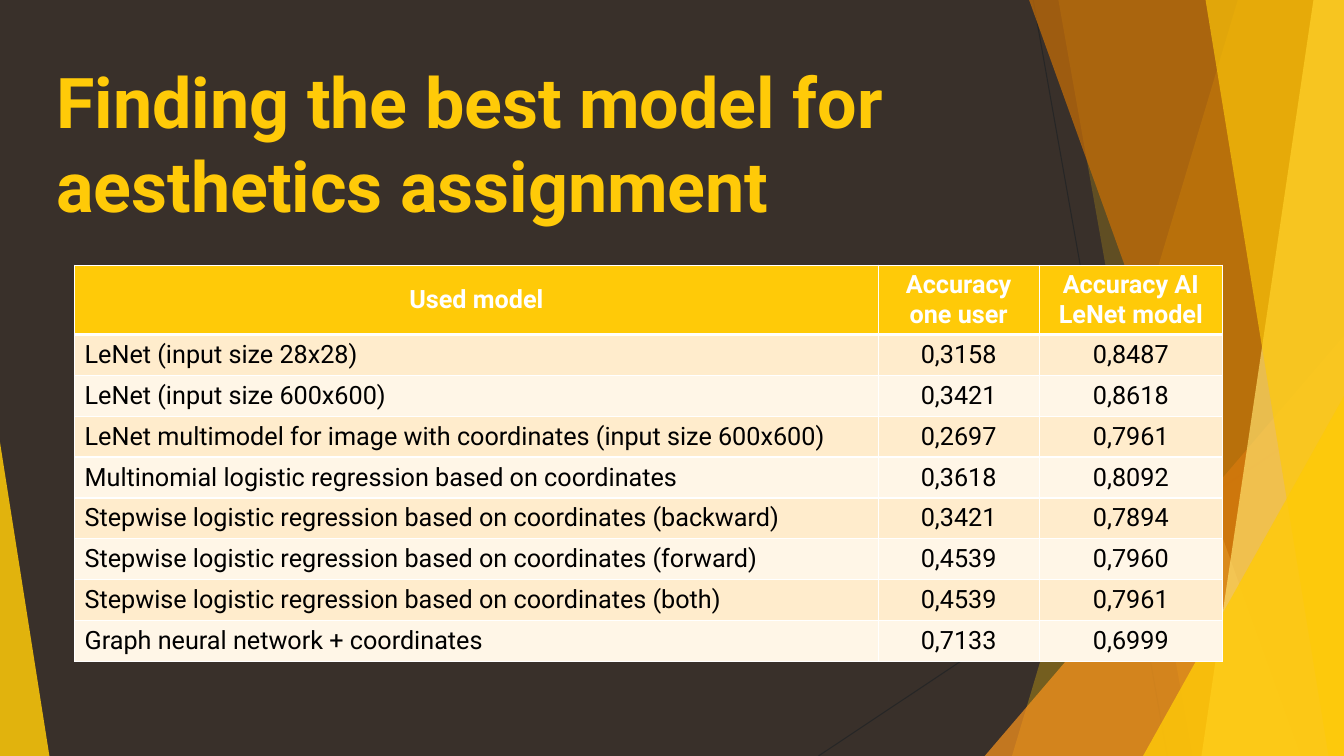
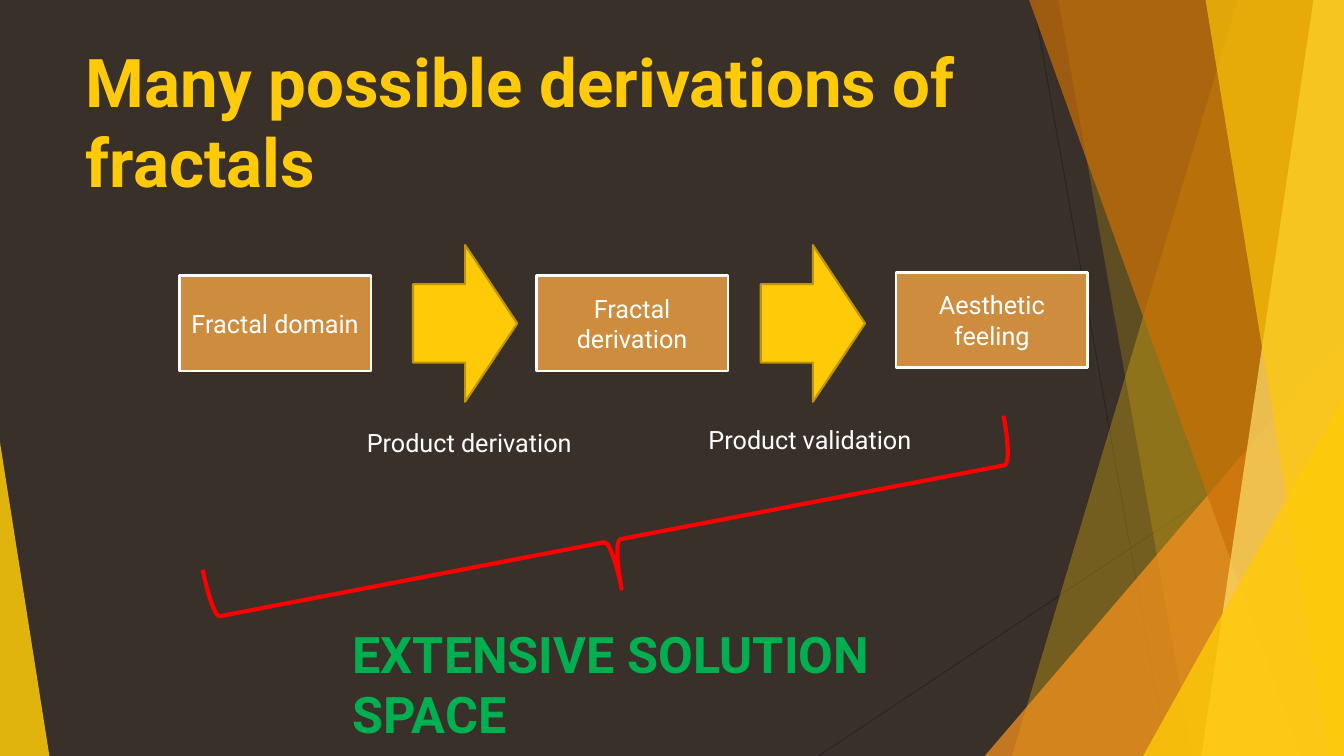
from dataclasses import dataclass

from lxml import etree
from pptx import Presentation
from pptx import util as u
from pptx.dml import color
from pptx.enum import shapes, text
from pptx.oxml import ns

WIDE, HIGH = 960, 540
FONT = "Roboto"
HUES = {
    "back": "39302A",
    "gold": "FFCA08",
    "edge": "BD9506",
    "pale": "FFDF6B",
    "rust": "CA6F06",
    "orange": "F8931D",
    "tan": "CE8D3E",
    "hair": "262626",
    "odd": "FFECCC",
    "even": "FFF6E7",
    "white": "FFFFFF",
    "black": "000000",
    "red": "FF0000",
    "green": "00B050",
}
KIND = shapes.MSO_SHAPE
LEFT, MID = text.PP_ALIGN.LEFT, text.PP_ALIGN.CENTER
TOP, CORE = text.MSO_ANCHOR.TOP, text.MSO_ANCHOR.MIDDLE


@dataclass
class Area:
    x: float
    y: float
    w: float
    h: float

    def span(self) -> list:
        return [u.Pt(v) for v in (self.x, self.y, self.w, self.h)]


@dataclass
class Face:
    size: float
    hue: str
    bold: bool = False


@dataclass
class Band:
    top: float
    base: float
    hue: str
    alpha: int


@dataclass
class Wedge:
    area: Area
    peak: float
    hue: str
    alpha: int


@dataclass
class Label:
    words: str
    area: Area
    face: Face


PLAIN = Face(18, "white")
RAYS = [((738, 0), (833.8, HIGH)), ((WIDE, 290.2), (584.6, HIGH))]
DECOR = [
    Band(884.2, 722.9, "gold", 30),
    Band(756, 851.8, "gold", 20),
    Wedge(Area(703.4, 240, 256.6, 300), 1, "orange", 72),
    Band(735.1, 929.5, "rust", 70),
    Band(938.2, 858.2, "pale", 70),
    Band(861.1, 949, "gold", 65),
    Wedge(Area(816.5, 283, 143.5, 257), 1, "gold", 80),
    Wedge(Area(0, 316, 35.3, 224), 0, "gold", 85),
]
HEADS = ("Used model", "Accuracy\none user", "Accuracy AI\nLeNet model")
SCORES = [
    ("LeNet (input size 28x28)", "0,3158", "0,8487"),
    ("LeNet (input size 600x600)", "0,3421", "0,8618"),
    ("LeNet multimodel for image with coordinates (input size 600x600)", "0,2697", "0,7961"),
    ("Multinomial logistic regression based on coordinates", "0,3618", "0,8092"),
    ("Stepwise logistic regression based on coordinates (backward)", "0,3421", "0,7894"),
    ("Stepwise logistic regression based on coordinates (forward)", "0,4539", "0,7960"),
    ("Stepwise logistic regression based on coordinates (both)", "0,4539", "0,7961"),
    ("Graph neural network + coordinates", "0,7133", "0,6999"),
]
STEPS = [
    Label("Fractal domain", Area(128, 197, 137, 68), PLAIN),
    Label("Fractal derivation", Area(383, 197, 137, 68), PLAIN),
    Label("Aesthetic feeling", Area(640, 194.5, 137, 68), PLAIN),
]
ARROWS = [Area(x, 175, 74.5, 112) for x in (295, 543.4)]
NOTES = [
    Label("Product derivation", Area(254.9, 301.7, 165, 29), PLAIN),
    Label("Product validation", Area(499, 299.5, 163, 29), PLAIN),
    Label("EXTENSIVE SOLUTION SPACE", Area(244.8, 441.4, 490, 51), Face(36, "green", True)),
]


def rgb(hue: str) -> color.RGBColor:
    return color.RGBColor.from_string(HUES[hue])


def write(frame, words: str, face: Face, align=LEFT, anchor=TOP) -> None:
    frame.text = words
    frame.word_wrap = True
    frame.vertical_anchor = anchor
    for para in frame.paragraphs:
        para.alignment = align
        font = para.font
        font.name, font.size, font.bold = FONT, u.Pt(face.size), face.bold
        font.color.rgb = rgb(face.hue)


def paint(shape, fill: str = "", line: str = "", width: float = 1) -> None:
    shape.shadow.inherit = False
    if fill:
        shape.fill.solid()
        shape.fill.fore_color.rgb = rgb(fill)
    else:
        shape.fill.background()
    if line:
        shape.line.color.rgb = rgb(line)
        shape.line.width = u.Pt(width)
    else:
        shape.line.fill.background()


def fade(shape, alpha: int) -> None:
    tint = shape.element.spPr.find(".//" + ns.qn("a:srgbClr"))
    etree.SubElement(tint, ns.qn("a:alpha"), val=str(alpha * 1000))


def ray(group, start: tuple, end: tuple) -> None:
    ends = [u.Pt(v) for v in (*start, *end)]
    line = group.shapes.add_connector(shapes.MSO_CONNECTOR.STRAIGHT, *ends)
    line.line.color.rgb = rgb("hair")
    line.line.width = u.Pt(0.75)
    etree.SubElement(line.element.spPr, ns.qn("a:effectLst"))


def facet(group, item: Band | Wedge) -> None:
    if isinstance(item, Band):
        start, *rest = [
            (u.Pt(x), u.Pt(y))
            for x, y in ((item.top, 0), (WIDE, 0), (WIDE, HIGH), (item.base, HIGH))
        ]
        pen = group.shapes.build_freeform(*start)
        pen.add_line_segments(rest)
        shape = pen.convert_to_shape()
    else:
        shape = group.shapes.add_shape(KIND.ISOSCELES_TRIANGLE, *item.area.span())
        shape.adjustments[0] = item.peak
    paint(shape, item.hue)
    fade(shape, item.alpha)


def theme(slide) -> None:
    layout = slide.slide_layout
    fill = layout.slide_master.background.fill
    fill.solid()
    fill.fore_color.rgb = rgb("back")
    group = slide.shapes.add_group_shape()
    for start, end in RAYS:
        ray(group, start, end)
    for item in DECOR:
        facet(group, item)
    tree = layout.shapes.element
    tree.append(group.element)
    for num, node in enumerate(tree.iter(ns.qn("p:cNvPr")), 1):
        node.set("id", str(num))


def head(slide, words: str, area: Area, size: float) -> None:
    title = slide.shapes.title
    title.left, title.top, title.width, title.height = area.span()
    write(title.text_frame, words, Face(size, "gold", True))
    title.text_frame.auto_size = text.MSO_AUTO_SIZE.NONE


def rim(cell, sides: dict[str, float]) -> None:
    props = cell._tc.get_or_add_tcPr()
    for side, width in sides.items():
        line = etree.SubElement(props, ns.qn(f"a:ln{side}"), w=str(u.Pt(width)))
        solid = etree.SubElement(line, ns.qn("a:solidFill"))
        etree.SubElement(solid, ns.qn("a:srgbClr"), val=HUES["white"])


def grid(slide) -> None:
    rows = [HEADS, *SCORES]
    area = Area(53.3, 189.4, 820, 283)
    table = slide.shapes.add_table(len(rows), len(HEADS), *area.span()).table
    table.horz_banding = False
    for col, width in zip(table.columns, (574, 115, 131)):
        col.width = u.Pt(width)
    for r, row in enumerate(rows):
        table.rows[r].height = u.Pt(29.2 if r else 49.4)
        fill = ("even", "odd")[r % 2] if r else "gold"
        face = Face(18, "black") if r else Face(18, "white", True)
        for c, words in enumerate(row):
            cell = table.cell(r, c)
            write(cell.text_frame, words, face, LEFT if r and not c else MID)
            cell.vertical_anchor = CORE
            rim(cell, {"L": 1, "R": 1, "T": 3 if r == 1 else 1, "B": 1 if r else 3})
            cell.fill.solid()
            cell.fill.fore_color.rgb = rgb(fill)


def flow(slide) -> None:
    for step in STEPS:
        box = slide.shapes.add_shape(KIND.RECTANGLE, *step.area.span())
        paint(box, "tan", "white", 2)
        write(box.text_frame, step.words, step.face, MID, CORE)
    for area in ARROWS:
        arrow = slide.shapes.add_shape(KIND.RIGHT_ARROW, *area.span())
        paint(arrow, "gold", "edge", 1.5)
    brace = slide.shapes.add_shape(KIND.RIGHT_BRACE, *Area(402.5, 95, 69.8, 582.5).span())
    brace.rotation = 79.1
    paint(brace, line="red", width=3)
    for note in NOTES:
        box = slide.shapes.add_textbox(*note.area.span())
        write(box.text_frame, note.words, note.face)


def main() -> None:
    deck = Presentation()
    deck.slide_width, deck.slide_height = u.Pt(WIDE), u.Pt(HIGH)
    layout = deck.slide_layouts.get_by_name("Title Only")
    models, fractals = [deck.slides.add_slide(layout) for _ in range(2)]
    theme(models)
    head(models, "Finding the best model for aesthetics assignment", Area(33, 38, 695, 108), 50)
    grid(models)
    head(fractals, "Many possible derivations of fractals", Area(54, 25, 677, 104), 48)
    flow(fractals)
    deck.save("out.pptx")


if __name__ == "__main__":
    main()
